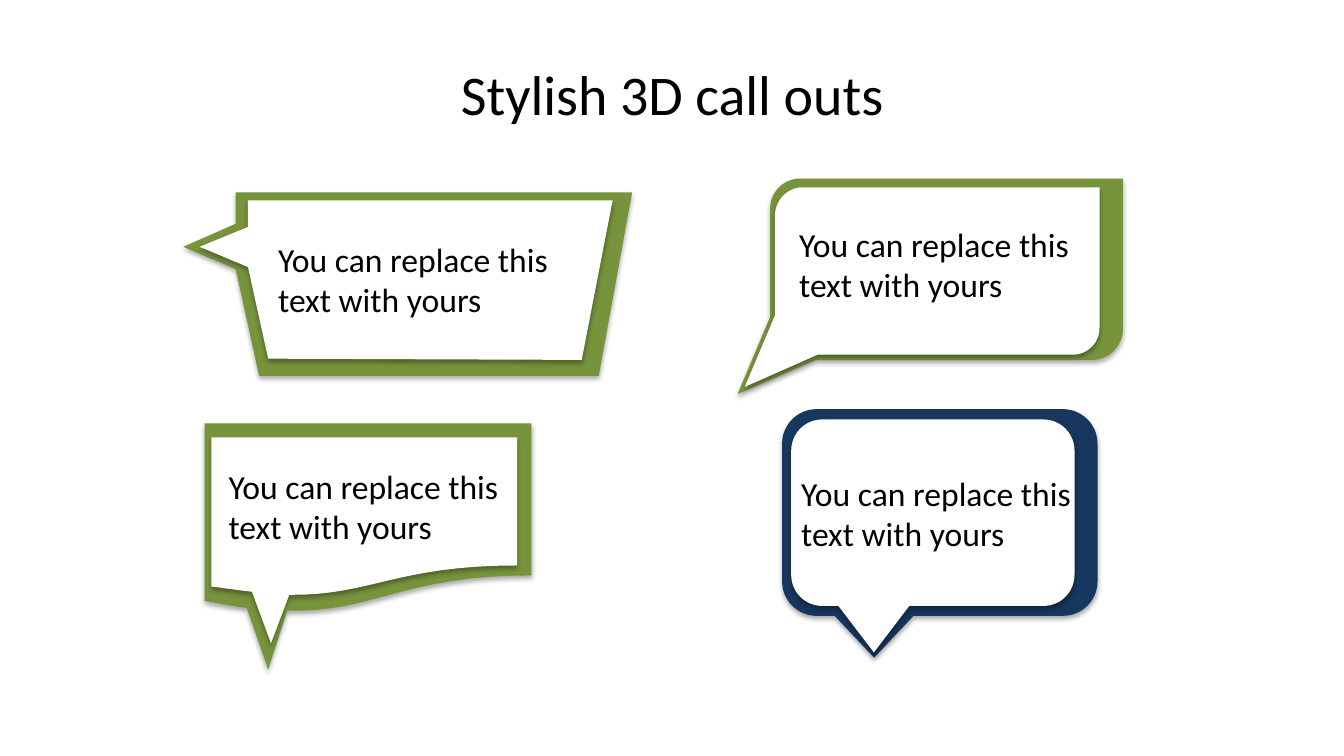
from lxml import etree
from pptx import Presentation
from pptx.dml.color import RGBColor
from pptx.enum.shapes import MSO_SHAPE as Shape
from pptx.enum.text import MSO_ANCHOR as Anchor, MSO_AUTO_SIZE as AutoSize, PP_ALIGN as Align
from pptx.oxml.ns import qn
from pptx.util import Cm, Pt

GREEN = RGBColor(0x77, 0x93, 0x3C)
NAVY = RGBColor(0x17, 0x37, 0x5E)
WHITE = RGBColor(0xFF, 0xFF, 0xFF)
BLACK = RGBColor(0, 0, 0)
CAPTION = "You can replace this text with yours"
CURVE_STEPS = 16

# Outlines in cm: a pair is a corner, six numbers are a cubic curve
BANNER_BACK = [(5.94, 4.85), (15.93, 4.85), (15.09, 9.47), (6.53, 9.47),
               (5.94, 6.78), (4.62, 6.22), (5.94, 5.64)]
BANNER_FRONT = [(6.25, 5.05), (15.44, 5.05), (14.66, 9.07), (6.76, 9.04),
                (6.25, 6.73), (5.03, 6.22), (6.25, 5.72)]
WAVE_BACK = [(5.16, 10.67), (13.39, 10.67), (13.39, 14.5),
             (10.11, 14.5, 9.45, 15.44, 7.24, 15.39), (6.76, 16.87),
             (6.22, 15.32), (5.92, 15.29, 5.54, 15.21, 5.16, 15.14)]
WAVE_FRONT = [(5.33, 11.02), (13.03, 11.02), (13.03, 14.25),
              (9.98, 14.25, 9.35, 15.01, 7.29, 14.99), (6.83, 16.21),
              (6.35, 14.91), (6.05, 14.88, 5.72, 14.83, 5.33, 14.78)]
LEAF_BACK = [(20.17, 4.5), (28.3, 4.5), (28.3, 8.31),
             (28.3, 8.71, 27.94, 9.07, 27.53, 9.07), (20.57, 9.07),
             (18.59, 9.93), (19.41, 7.98), (19.41, 5.26),
             (19.41, 4.83, 19.76, 4.5, 20.17, 4.5)]
LEAF_FRONT = [(20.24, 4.72), (27.71, 4.72), (27.71, 8.26),
              (27.71, 8.64, 27.41, 8.94, 27.03, 8.94), (20.6, 8.94),
              (18.77, 9.75), (19.53, 7.95), (19.53, 5.44),
              (19.53, 5.05, 19.84, 4.72, 20.24, 4.72)]


def trace(outline):
    """Turn an outline into a list of points, sampling its curves."""
    points = []
    for part in outline:
        if len(part) == 2:
            points.append(part)
            continue
        controls = [points[-1], part[:2], part[2:4], part[4:]]
        for step in range(1, CURVE_STEPS + 1):
            t = step / CURVE_STEPS
            weights = ((1 - t) ** 3, 3 * t * (1 - t) ** 2, 3 * t * t * (1 - t), t ** 3)
            points.append(tuple(sum(weight * control[axis]
                                    for weight, control in zip(weights, controls))
                                for axis in (0, 1)))
    return [(Cm(x), Cm(y)) for x, y in points]


class CalloutSlide:
    font = "Calibri"

    def __init__(self, presentation):
        self.slide = presentation.slides.add_slide(presentation.slide_layouts[5])
        self.shapes = self.slide.shapes

    def start_group(self):
        self.shapes = self.slide.shapes.add_group_shape().shapes

    def style_text(self, paragraph, size):
        for run in paragraph.runs:
            run.font.name = self.font
            run.font.size = Pt(size)
            run.font.color.rgb = BLACK

    def title(self, text, left, top, width, height):
        title = self.slide.shapes.title
        title.left, title.top, title.width, title.height = map(Cm, (left, top, width, height))
        frame = title.text_frame
        frame.text = text
        frame.vertical_anchor = Anchor.MIDDLE
        frame.paragraphs[0].alignment = Align.CENTER
        self.style_text(frame.paragraphs[0], 40)

    def finish(self, shape, color):
        """Fill the shape, drop its line and cast a soft shadow below it."""
        shape.fill.solid()
        shape.fill.fore_color.rgb = color
        shape.line.fill.background()
        shape.shadow.inherit = False
        effects = shape.element.spPr.find(qn("a:effectLst"))
        shadow = etree.SubElement(effects, qn("a:outerShdw"), blurRad=str(Pt(3.5)),
                                  dist=str(Pt(2.2)), dir="5400000", rotWithShape="0")
        tint = etree.SubElement(shadow, qn("a:srgbClr"), val=str(BLACK))
        etree.SubElement(tint, qn("a:alpha"), val="32000")

    def outline(self, outline, color):
        start, *others = trace(outline)
        builder = self.shapes.build_freeform(*start)
        builder.add_line_segments(others, close=True)
        self.finish(builder.convert_to_shape(), color)

    def bubble(self, left, top, width, height, tail, color):
        shape = self.shapes.add_shape(Shape.ROUNDED_RECTANGULAR_CALLOUT,
                                      Cm(left), Cm(top), Cm(width), Cm(height))
        for index, value in enumerate((-0.208, tail, 0.167)):
            shape.adjustments[index] = value
        self.finish(shape, color)

    def caption(self, left, top, width):
        box = self.shapes.add_textbox(Cm(left), Cm(top), Cm(width), Cm(2.31))
        frame = box.text_frame
        frame.word_wrap = True
        frame.auto_size = AutoSize.SHAPE_TO_FIT_TEXT
        frame.text = CAPTION
        self.style_text(frame.paragraphs[0], 24)


def main():
    presentation = Presentation()
    presentation.slide_width, presentation.slide_height = Cm(33.87), Cm(19.05)
    page = CalloutSlide(presentation)
    page.title("Stylish 3D call outs", 1.7, 0.76, 30.48, 3.18)

    # Green callouts: back plate, white front, caption
    for back, front, caption in (
        (BANNER_BACK, BANNER_FRONT, (6.76, 5.89, 8.56)),
        (WAVE_BACK, WAVE_FRONT, (5.51, 11.61, 7.65)),
        (LEAF_BACK, LEAF_FRONT, (19.89, 5.51, 7.54)),
    ):
        page.start_group()
        page.outline(back, GREEN)
        page.outline(front, WHITE)
        page.caption(*caption)

    # Navy rounded callout
    page.start_group()
    page.bubble(19.71, 10.31, 7.95, 5.21, 0.702, NAVY)
    page.bubble(19.94, 10.57, 7.14, 4.7, 0.749, WHITE)
    page.caption(19.94, 11.79, 7.35)

    presentation.save("out.pptx")


if __name__ == "__main__":
    main()
